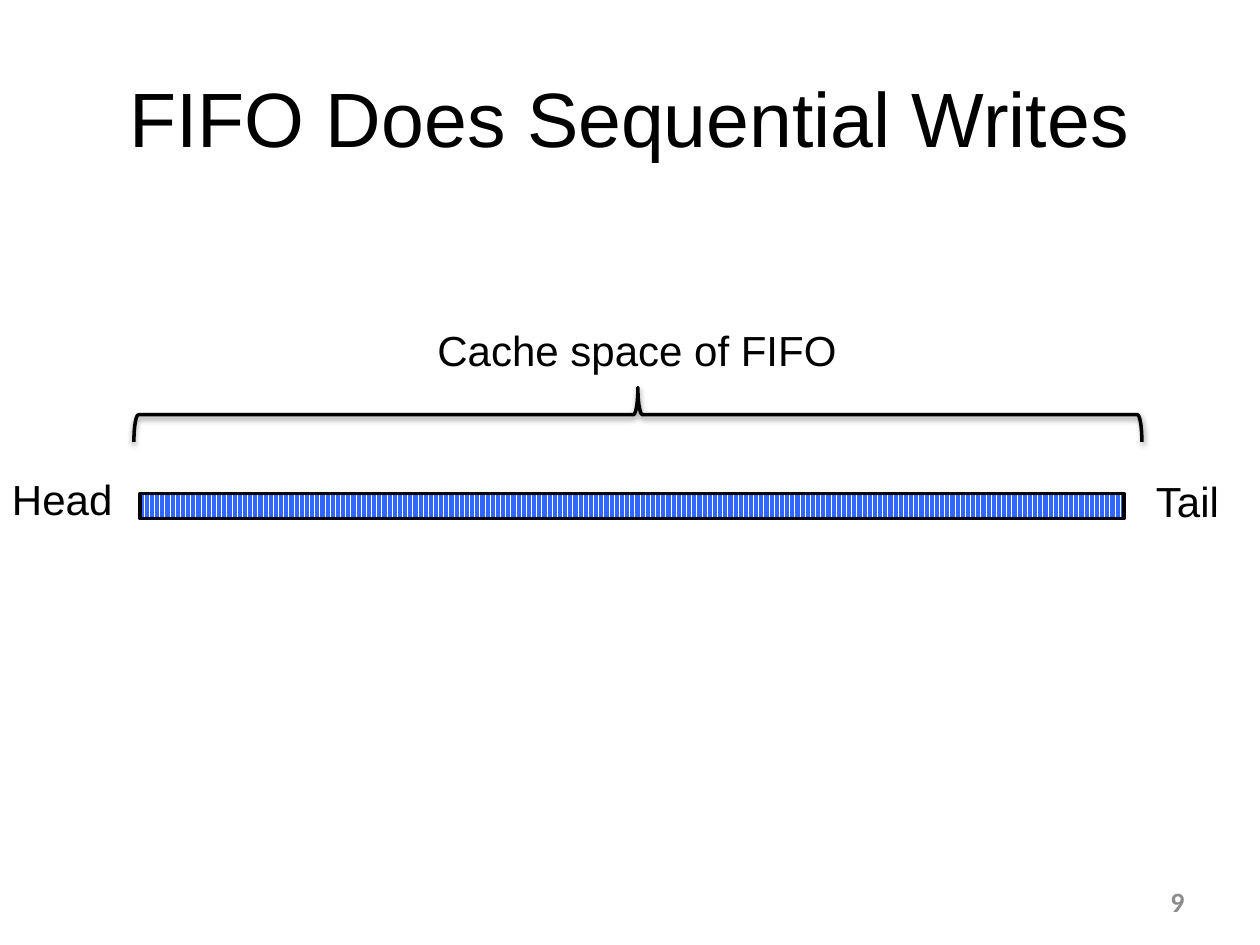
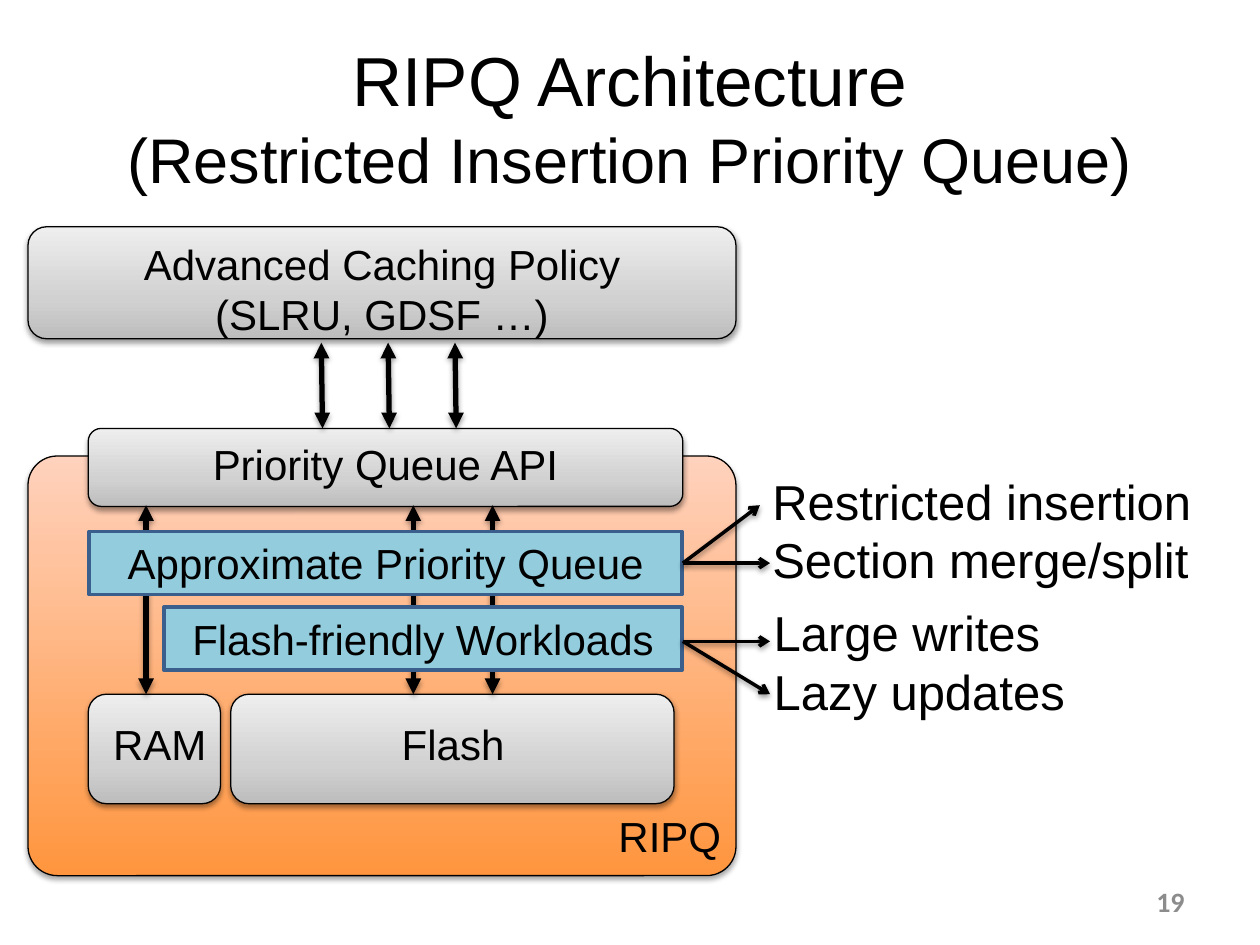
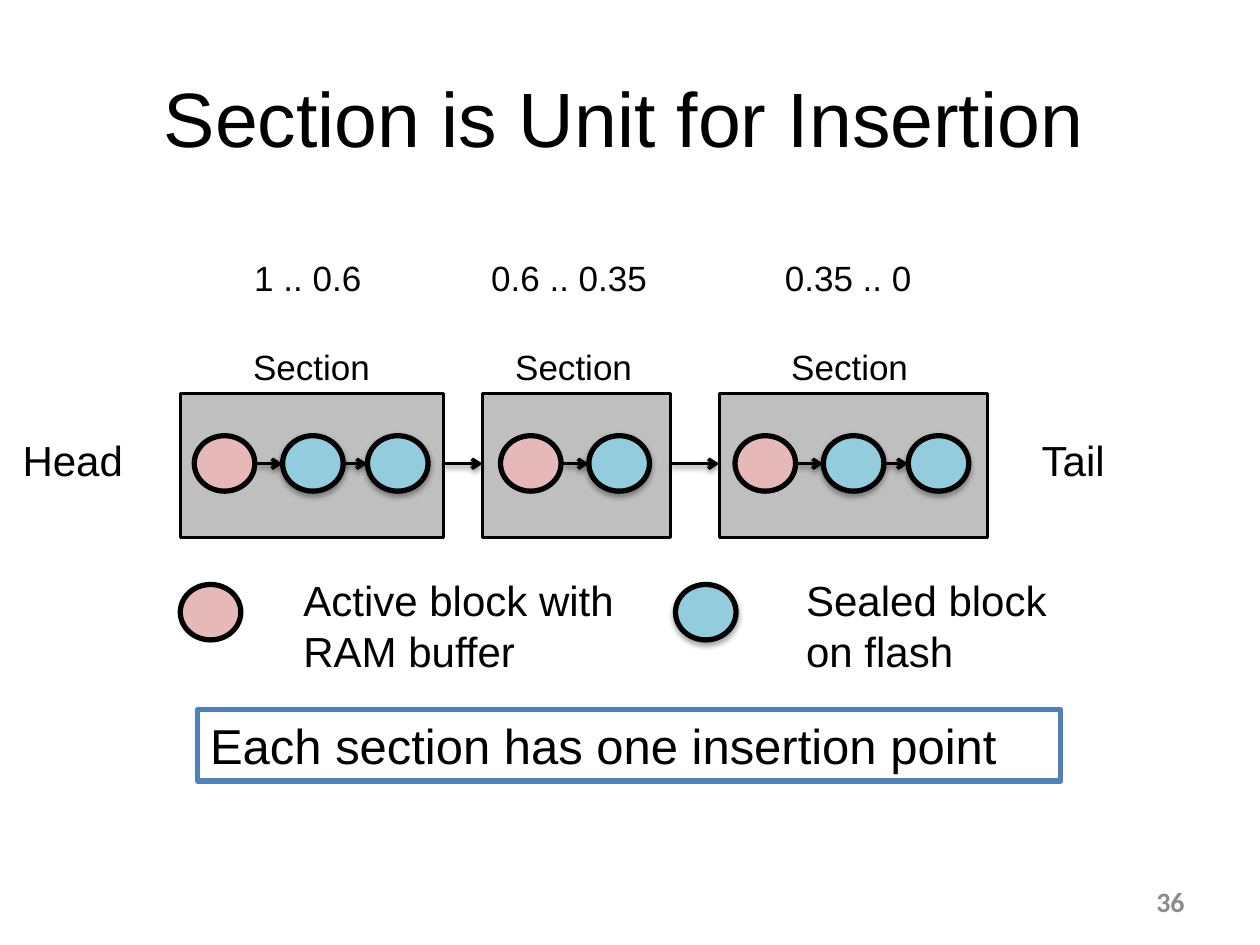
from dataclasses import dataclass
from itertools import pairwise

from lxml import etree
from pptx import Presentation
from pptx import util as u
from pptx.dml.color import RGBColor
from pptx.enum import dml, shapes, text
from pptx.oxml import ns

Pt = u.Pt
KIND = shapes.MSO_SHAPE
ALIGN = text.PP_ALIGN

BLACK = RGBColor(0x00, 0x00, 0x00)
WHITE = RGBColor(0xFF, 0xFF, 0xFF)
NUMBER_GRAY = RGBColor(0x8C, 0x8C, 0x8C)
BAR_BLUE = RGBColor(0x33, 0x66, 0xFF)
LAYER_BLUE = RGBColor(0x93, 0xCD, 0xDD)
LAYER_EDGE = RGBColor(0x3A, 0x5F, 0x8C)
CALLOUT_BLUE = RGBColor(0x4F, 0x81, 0xBD)
ACTIVE_PINK = RGBColor(0xE6, 0xB9, 0xB8)
SECTION_GRAY = RGBColor(0xBF, 0xBF, 0xBF)
SILVER = (
    (0, RGBColor(0xBD, 0xBD, 0xBD)),
    (35, RGBColor(0xD1, 0xD1, 0xD1)),
    (100, RGBColor(0xEE, 0xEE, 0xEE)),
)
ORANGE = ((0, RGBColor(0xFF, 0x95, 0x3E)), (100, RGBColor(0xFF, 0xD2, 0xBD)))


@dataclass(frozen=True)
class Box:
    x: float
    y: float
    w: float
    h: float

    def lengths(self) -> tuple:
        return Pt(self.x), Pt(self.y), Pt(self.w), Pt(self.h)


@dataclass(frozen=True)
class Shadow:
    opacity: int
    distance: float


@dataclass(frozen=True)
class Style:
    fill: RGBColor | tuple | None
    line: RGBColor = BLACK
    width: float = 2
    shadow: Shadow | None = None


@dataclass(frozen=True)
class Type:
    size: float = 24
    align: ALIGN = ALIGN.LEFT
    font: str = "Arial"
    color: RGBColor = BLACK
    bold: bool = False


@dataclass(frozen=True)
class Section:
    x: float
    w: float
    first_block: float
    sealed: int
    label_x: float
    span: str
    span_x: float


LINE_SHADOW = Shadow(38, 1.6)
FILL_SHADOW = Shadow(35, 1.8)

PANEL = Style(SILVER, width=0.75, shadow=LINE_SHADOW)
QUEUE = Style(ORANGE, width=0.75, shadow=FILL_SHADOW)
LAYER = Style(LAYER_BLUE, LAYER_EDGE)
BRACE = Style(None, shadow=LINE_SHADOW)
SECTION = Style(SECTION_GRAY, width=1.5)
ACTIVE = Style(ACTIVE_PINK, width=3)
SEALED = Style(LAYER_BLUE, width=3, shadow=FILL_SHADOW)
CALLOUT = Style(WHITE, CALLOUT_BLUE, 3)

LABEL = Type()
CENTERED = Type(align=ALIGN.CENTER)
NOTE = Type(28)
SMALL = Type(20)
TITLE = Type(44, ALIGN.CENTER)
NUMBER = Type(16, ALIGN.RIGHT, "Calibri", NUMBER_GRAY, True)

TITLE_BOX = Box(36, 21.6, 648, 90)
NUMBER_BOX = Box(516.2, 500.4, 167.8, 28.8)

BLOCK_W, BLOCK_H = 34.6, 31.7
BLOCK_Y, LINK_Y = 249, 265
BLOCK_OFFSETS = (50.5, 99)
SECTIONS = (
    Section(103, 150.5, 111, 2, 137.5, "1 .. 0.6", 138.2),
    Section(275.8, 107.3, 286, 1, 287.3, "0.6 .. 0.35", 273.6),
    Section(411, 153.4, 420, 2, 445, "0.35 .. 0", 441.4),
)


def set_shadow(element, shadow: Shadow | None) -> None:
    sp_pr = element.spPr
    effects = sp_pr.find(ns.qn("a:effectLst"))
    if effects is None:
        effects = etree.SubElement(sp_pr, ns.qn("a:effectLst"))
    if shadow:
        outer = etree.SubElement(
            effects, ns.qn("a:outerShdw"), blurRad=str(Pt(3.1)),
            dist=str(Pt(shadow.distance)), dir="5400000", rotWithShape="0",
        )
        color = etree.SubElement(outer, ns.qn("a:srgbClr"), val=str(BLACK))
        etree.SubElement(color, ns.qn("a:alpha"), val=str(shadow.opacity * 1000))


def set_gradient(sp, stops: tuple) -> None:
    sp.fill.gradient()
    sp.fill.gradient_angle = 90
    stop_list = sp.element.spPr.find(".//" + ns.qn("a:gsLst"))
    stop_list.clear()
    for position, color in stops:
        stop = etree.SubElement(stop_list, ns.qn("a:gs"), pos=str(position * 1000))
        etree.SubElement(stop, ns.qn("a:srgbClr"), val=str(color))


def write(tf, content: str, kind: Type, sizes: tuple = ()) -> None:
    tf.text = content
    for i, p in enumerate(tf.paragraphs):
        p.alignment = kind.align
        for r in p.runs:
            r.font.name = kind.font
            r.font.size = Pt(sizes[i] if sizes else kind.size)
            r.font.bold = kind.bold
            r.font.color.rgb = kind.color


def add_label(s, box: Box, content: str, kind: Type = LABEL, wrap: bool = True) -> None:
    tf = s.shapes.add_textbox(*box.lengths()).text_frame
    tf.word_wrap = wrap
    tf.auto_size = text.MSO_AUTO_SIZE.SHAPE_TO_FIT_TEXT
    write(tf, content, kind)


def add_figure(s, preset: KIND, box: Box, style: Style, content: str = "",
               kind: Type = CENTERED):
    sp = s.shapes.add_shape(preset, *box.lengths())
    if style.fill is None:
        sp.fill.background()
    elif isinstance(style.fill, RGBColor):
        sp.fill.solid()
        sp.fill.fore_color.rgb = style.fill
    else:
        set_gradient(sp, style.fill)
    sp.line.color.rgb = style.line
    sp.line.width = Pt(style.width)
    sp.shadow.inherit = False
    set_shadow(sp.element, style.shadow)
    if content:
        sp.text_frame.word_wrap = True
        sp.text_frame.vertical_anchor = text.MSO_ANCHOR.TOP
        write(sp.text_frame, content, kind)
    return sp


def add_arrow(s, x1: float, y1: float, x2: float, y2: float,
              double: bool = False, dashed: bool = False) -> None:
    c = s.shapes.add_connector(shapes.MSO_CONNECTOR.STRAIGHT,
                               Pt(x1), Pt(y1), Pt(x2), Pt(y2))
    c.line.color.rgb = BLACK
    c.line.width = Pt(3 if double else 2)
    if dashed:
        c.line.dash_style = dml.MSO_LINE.DASH
    ln = c.element.spPr.find(ns.qn("a:ln"))
    if double:
        etree.SubElement(ln, ns.qn("a:headEnd"), type="triangle")
    etree.SubElement(ln, ns.qn("a:tailEnd"), type="triangle" if double else "arrow")
    set_shadow(c.element, LINE_SHADOW)


def add_block(s, x: float, y: float, style: Style) -> None:
    add_figure(s, KIND.OVAL, Box(x, y, BLOCK_W, BLOCK_H), style)


def start_slide(prs, title: str, number: int, sizes: tuple = (),
                title_box: Box = TITLE_BOX):
    s = prs.slides.add_slide(prs.slide_layouts[6])
    for box, content, kind, line_sizes in (
        (title_box, title, TITLE, sizes),
        (NUMBER_BOX, str(number), NUMBER, ()),
    ):
        tf = s.shapes.add_textbox(*box.lengths()).text_frame
        tf.word_wrap = True
        tf.vertical_anchor = text.MSO_ANCHOR.MIDDLE
        write(tf, content, kind, line_sizes)
    return s


def build_fifo(prs) -> None:
    s = start_slide(prs, "FIFO Does Sequential Writes", 9)
    add_label(s, Box(199.5, 182, 329, 36), "Cache space of FIFO", CENTERED)
    brace = add_figure(s, KIND.LEFT_BRACE, Box(349, -51, 31, 576), BRACE)
    brace.rotation = 90
    bar = add_figure(s, KIND.RECTANGLE, Box(80, 282, 562.3, 14.4), Style(None))
    bar.fill.patterned()
    bar.fill.pattern = dml.MSO_PATTERN.DARK_VERTICAL
    bar.fill.fore_color.rgb = BAR_BLUE
    bar.fill.back_color.rgb = WHITE
    add_label(s, Box(-55.5, 267, 182, 36), "Head", CENTERED)
    add_label(s, Box(587.5, 268, 182, 36), "Tail", CENTERED)


def build_architecture(prs) -> None:
    s = start_slide(prs, "RIPQ Architecture\n(Restricted Insertion Priority Queue)",
                    19, (39.6, 36))
    rounded = KIND.ROUNDED_RECTANGLE
    add_figure(s, rounded, Box(16, 129.6, 404.6, 64), PANEL,
               "Advanced Caching Policy\n(SLRU, GDSF …)")
    queue = add_figure(s, rounded, Box(16, 260.6, 404.6, 239.8), QUEUE)
    queue.adjustments[0] = 0.07
    add_label(s, Box(346.3, 459.4, 94.3, 36), "RIPQ")
    add_figure(s, rounded, Box(50.4, 244.8, 339.8, 44.6), PANEL, "Priority Queue API")
    for i in range(3):
        x = 183.6 + 38.2 * i
        add_arrow(s, x, 195.8, x + 0.7, 244.8, double=True)

    for x, w, label_x, label_w, name in (
        (50.4, 75.6, 57.6, 69, "RAM"),
        (131.8, 253.4, 222.5, 75, "Flash"),
    ):
        add_figure(s, rounded, Box(x, 396.7, w, 62.6), PANEL)
        add_label(s, Box(label_x, 406.8, label_w, 36), name, wrap=False)
    for x in (83.5, 236.2, 281.5):
        add_arrow(s, x, 288.7, x, 396.7, double=True)

    for x, y, name in (
        (93.6, 347, "Flash-friendly Workloads"),
        (51, 303.8, "Approximate Priority Queue"),
    ):
        add_figure(s, KIND.RECTANGLE, Box(x, y, 389.8 - x, 36), LAYER, name)

    for box, content, start_y, tips in (
        (Box(434.2, 265.7, 279.4, 75), "Restricted insertion\nSection merge/split",
         321.8, ((434.2, 288.7), (440, 321.8))),
        (Box(435, 340.6, 189.4, 75), "Large writes\nLazy updates",
         366.5, ((440, 366.5), (440, 396.7))),
    ):
        add_label(s, box, content, NOTE, wrap=False)
        for tip_x, tip_y in tips:
            add_arrow(s, 390.2, start_y, tip_x, tip_y)


def add_section(s, section: Section) -> None:
    add_figure(s, KIND.RECTANGLE, Box(section.x, 225, section.w, 82), SECTION)
    add_label(s, Box(section.span_x, 143.3, 116.6, 31.7), section.span, SMALL)
    add_label(s, Box(section.label_x, 193.7, 95, 31.7), "Section", SMALL)
    first = section.first_block
    add_block(s, first, BLOCK_Y, ACTIVE)
    link_x = first + 36
    for i, offset in enumerate(BLOCK_OFFSETS[:section.sealed]):
        x = first + offset
        add_block(s, x, BLOCK_Y, SEALED)
        add_arrow(s, link_x, LINK_Y, x, LINK_Y, dashed=i == 0)
        link_x = x + BLOCK_W


def build_sections(prs) -> None:
    s = start_slide(prs, "Section is Unit for Insertion", 36,
                    title_box=Box(18, 21.6, 677.5, 90))
    for section in SECTIONS:
        add_section(s, section)
    for a, b in pairwise(SECTIONS):
        add_arrow(s, a.x + a.w, LINK_Y, b.x, LINK_Y)
    add_label(s, Box(5.8, 244.8, 80, 36), "Head")
    add_label(s, Box(588.2, 244.8, 60, 36), "Tail")
    for x, style, label_x, content in (
        (103, ACTIVE, 166.3, "Active block with\nRAM buffer"),
        (386, SEALED, 453.6, "Sealed block\non flash"),
    ):
        add_block(s, x, 334, style)
        add_label(s, Box(label_x, 325, 208.8, 65.5), content)
    add_figure(s, KIND.RECTANGLE, Box(113, 405.4, 493.2, 41), CALLOUT,
               "Each section has one insertion point", NOTE)


def main() -> None:
    prs = Presentation()
    prs.slide_width, prs.slide_height = Pt(720), Pt(540)
    build_fifo(prs)
    build_architecture(prs)
    build_sections(prs)
    prs.save("out.pptx")


if __name__ == "__main__":
    main()
